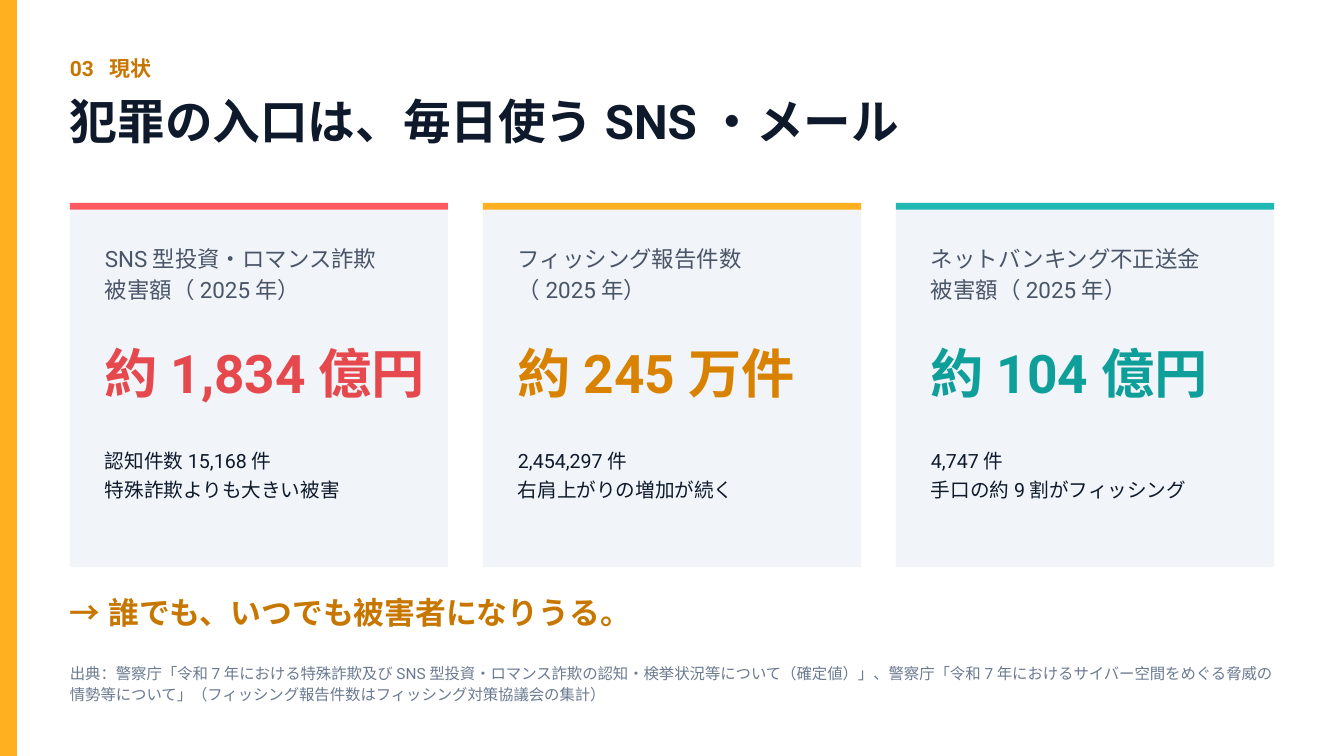
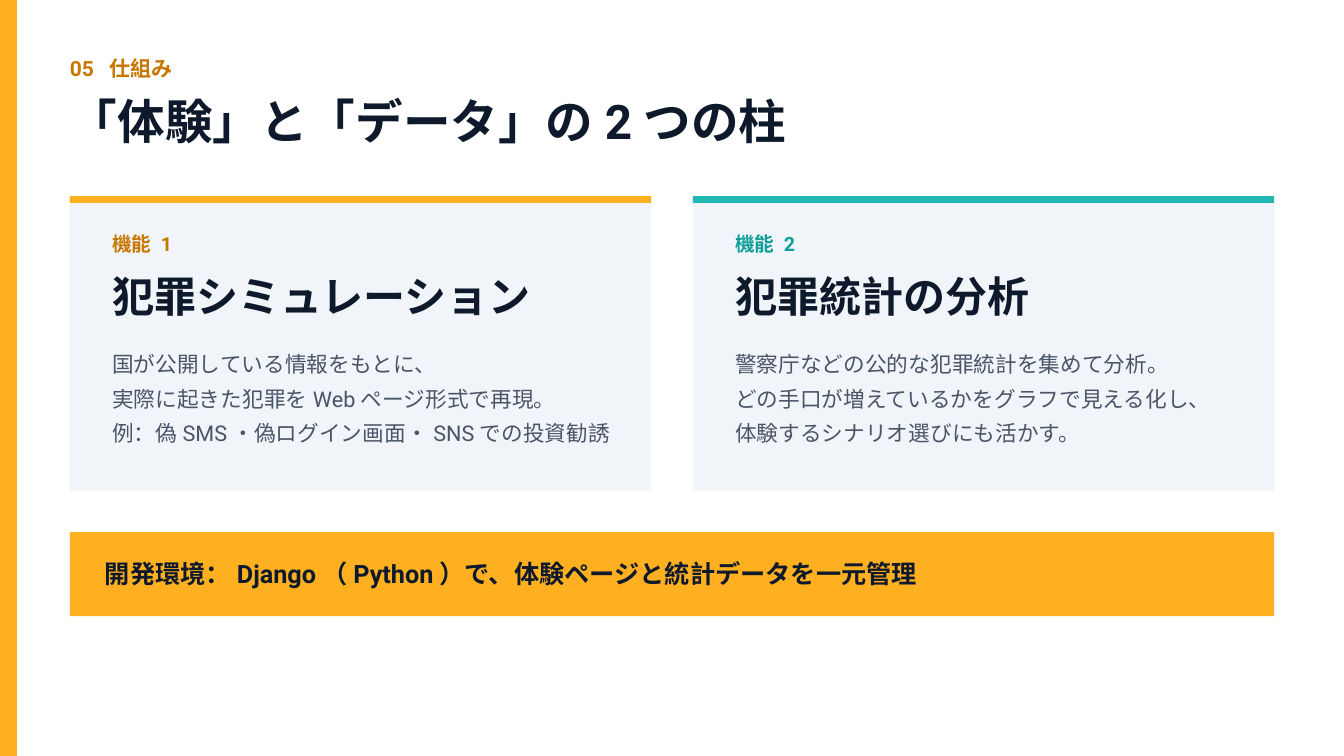
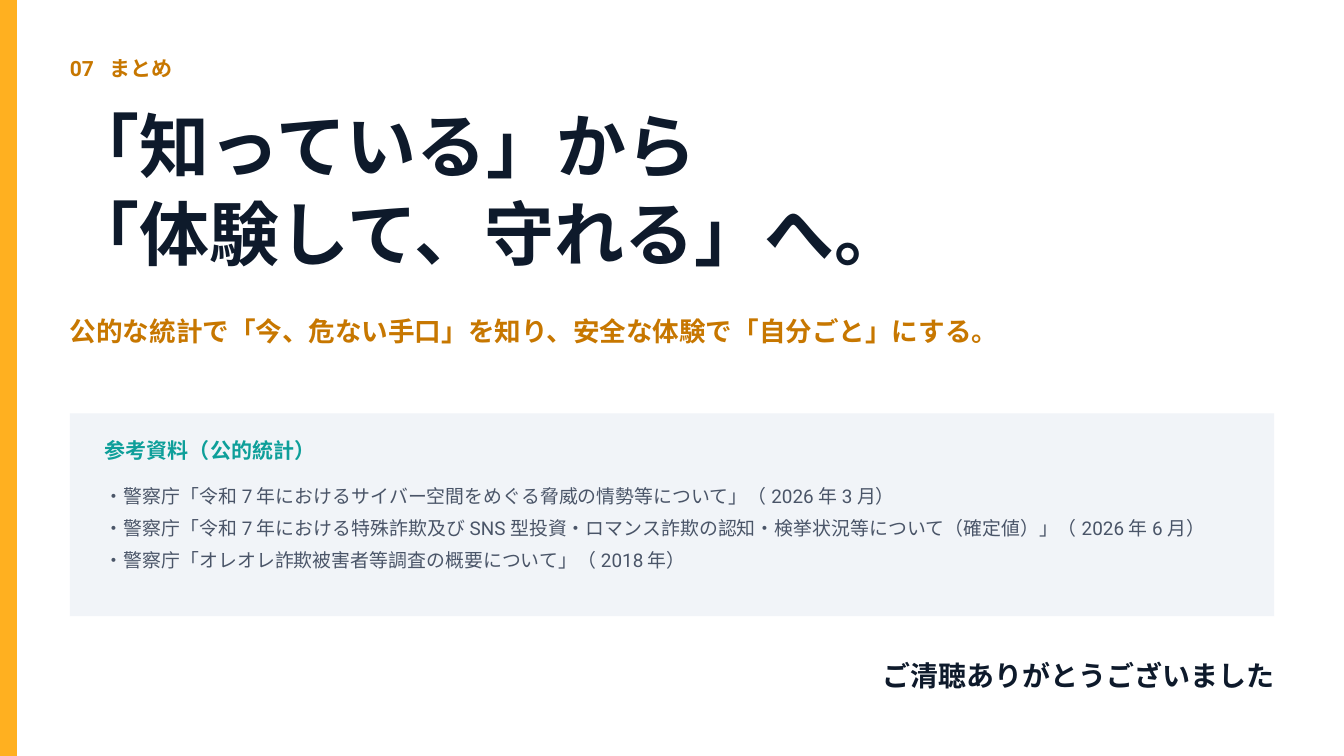
"""Build three slides on crime statistics and a crime-simulation project."""
from lxml.etree import SubElement
from pptx import Presentation
from pptx.dml.color import RGBColor
from pptx.enum.shapes import MSO_SHAPE
from pptx.enum.text import MSO_ANCHOR, MSO_AUTO_SIZE, PP_ALIGN
from pptx.oxml.ns import qn
from pptx.util import Inches, Pt

WHITE = RGBColor(0xFF, 0xFF, 0xFF)
NAVY = RGBColor(0x0E, 0x1A, 0x2B)
SLATE = RGBColor(0x4A, 0x55, 0x68)
GREY = RGBColor(0x6B, 0x7A, 0x90)
PANEL = RGBColor(0xF1, 0xF4, 0xF8)
AMBER = RGBColor(0xFF, 0xB0, 0x20)
AMBER_MID = RGBColor(0xD9, 0x82, 0x00)
AMBER_DARK = RGBColor(0xC7, 0x77, 0x00)
CORAL = RGBColor(0xFF, 0x5A, 0x5F)
RED = RGBColor(0xE5, 0x48, 0x4D)
TEAL = RGBColor(0x1F, 0xB8, 0xB2)
TEAL_DARK = RGBColor(0x0E, 0x9F, 0x9A)

FONT = "Roboto"
WIDTH, HEIGHT = 20, 11.25
LEFT = 1.04
CONTENT_W = WIDTH - 2 * LEFT
INSET = 0.52
STRIPE_H = 0.1


def write(sp, text, size, color, leading, bold=False, align=PP_ALIGN.LEFT):
    """Fill a shape's text frame and format every line alike."""
    tf = sp.text_frame
    tf.text = text
    tf.word_wrap = True
    tf.auto_size = MSO_AUTO_SIZE.NONE
    tf.vertical_anchor = MSO_ANCHOR.TOP
    tf.margin_left = tf.margin_top = tf.margin_right = tf.margin_bottom = 0
    for p in tf.paragraphs:
        p.alignment = align
        p.line_spacing = Pt(leading)
        for r in p.runs:
            r.font.name = FONT
            r.font.size = Pt(size)
            r.font.bold = bold
            r.font.color.rgb = color
            SubElement(r.font._element, qn("a:ea")).set("typeface", FONT)


def add_text(s, x, y, w, h, text, size, color, leading, **style):
    """Add a text box without margins."""
    sp = s.shapes.add_textbox(Inches(x), Inches(y), Inches(w), Inches(h))
    write(sp, text, size, color, leading, **style)


def add_block(s, x, y, w, h, color):
    """Add a plain filled rectangle."""
    sp = s.shapes.add_shape(MSO_SHAPE.RECTANGLE, Inches(x), Inches(y), Inches(w), Inches(h))
    sp.shadow.inherit = False
    sp.fill.solid()
    sp.fill.fore_color.rgb = color
    sp.line.fill.background()


def add_card(s, x, y, w, h, accent):
    """Add a pale panel with a coloured stripe along its top."""
    add_block(s, x, y, w, h, PANEL)
    add_block(s, x, y, w, STRIPE_H, accent)


def columns(count, gap):
    """Return the left edges and the width of equal columns."""
    w = (CONTENT_W - gap * (count - 1)) / count
    return [LEFT + i * (w + gap) for i in range(count)], w


def add_slide(prs, section, title, y=1.22, h=0.98, size=51, leading=71.4):
    """Add a slide with side band, section label and title."""
    s = prs.slides.add_slide(prs.slide_layouts[5])
    add_block(s, 0, 0, 0.25, HEIGHT, AMBER)
    add_text(s, LEFT, 0.77, 6.25, 0.44, section, 22.5, AMBER_DARK, 31.5, bold=True)
    sp = s.shapes.title
    sp.left, sp.top, sp.width, sp.height = Inches(LEFT), Inches(y), Inches(17.71), Inches(h)
    write(sp, title, size, NAVY, leading, bold=True)
    return s


def add_stat_card(s, x, w, accent, color, label, value, detail):
    """Add a card with a label, a large figure and a detail."""
    add_card(s, x, 3.02, w, 5.42, accent)
    x += INSET
    add_text(s, x, 3.58, 4.69, 0.91, label, 24, SLATE, 33.6)
    add_text(s, x, 5.14, 4.9, 0.91, value, 57, color, 62.7, bold=True)
    add_text(s, x, 6.59, 4.69, 0.86, detail, 21, NAVY, 31.5)


def add_feature_card(s, x, w, accent, color, tag, heading, body):
    """Add a card with a tag, a heading and a description."""
    add_card(s, x, 2.92, w, 4.38, accent)
    x += 0.63
    add_text(s, x, 3.39, 7.29, 0.4, tag, 21, color, 29.4, bold=True)
    add_text(s, x, 3.9, 7.71, 0.86, heading, 45, NAVY, 63, bold=True)
    add_text(s, x, 5.09, 7.71, 1.52, body, 23.25, SLATE, 37.2)


def build_status(prs):
    """Build the slide on the current damage figures."""
    s = add_slide(prs, "03  現状", "犯罪の入口は、毎日使うSNS・メール")
    stats = [
        (CORAL, RED, "SNS型投資・ロマンス詐欺\n被害額（2025年）", "約1,834億円",
         "認知件数15,168件\n特殊詐欺よりも大きい被害"),
        (AMBER, AMBER_MID, "フィッシング報告件数\n（2025年）", "約245万件",
         "2,454,297件\n右肩上がりの増加が続く"),
        (TEAL, TEAL_DARK, "ネットバンキング不正送金\n被害額（2025年）", "約104億円",
         "4,747件\n手口の約9割がフィッシング"),
    ]
    lefts, w = columns(len(stats), 0.52)
    for x, stat in zip(lefts, stats):
        add_stat_card(s, x, w, *stat)
    add_text(s, LEFT, 8.75, CONTENT_W, 0.65, "→ 誰でも、いつでも被害者になりうる。",
             33, AMBER_DARK, 46.2, bold=True)
    add_text(s, LEFT, 9.83, CONTENT_W, 0.64,
             "出典：警察庁「令和7年における特殊詐欺及びSNS型投資・ロマンス詐欺の認知・検挙状況等について"
             "（確定値）」、警察庁「令和7年におけるサイバー空間をめぐる脅威の情勢等について」"
             "（フィッシング報告件数はフィッシング対策協議会の集計）",
             16.5, GREY, 23.1)


def build_features(prs):
    """Build the slide on the two features."""
    s = add_slide(prs, "05  仕組み", "「体験」と「データ」の2つの柱")
    features = [
        (AMBER, AMBER_DARK, "機能 1", "犯罪シミュレーション",
         "国が公開している情報をもとに、\n実際に起きた犯罪をWebページ形式で再現。\n"
         "例：偽SMS・偽ログイン画面・SNSでの投資勧誘"),
        (TEAL, TEAL_DARK, "機能 2", "犯罪統計の分析",
         "警察庁などの公的な犯罪統計を集めて分析。\nどの手口が増えているかをグラフで見える化し、\n"
         "体験するシナリオ選びにも活かす。"),
    ]
    lefts, w = columns(len(features), 0.62)
    for x, feature in zip(lefts, features):
        add_feature_card(s, x, w, *feature)
    add_block(s, LEFT, 7.92, CONTENT_W, 1.25, AMBER)
    add_text(s, LEFT + INSET, 8.24, 17.08, 0.52,
             "開発環境：Django（Python）で、体験ページと統計データを一元管理", 27, NAVY, 37.8, bold=True)


def build_summary(prs):
    """Build the closing slide with the references."""
    s = add_slide(prs, "07  まとめ", "「知っている」から\n「体験して、守れる」へ。",
                  y=1.48, h=2.64, size=75, leading=93.8)
    add_text(s, LEFT, 4.61, CONTENT_W, 0.55,
             "公的な統計で「今、危ない手口」を知り、安全な体験で「自分ごと」にする。",
             28.5, AMBER_DARK, 39.9, bold=True)
    add_block(s, LEFT, 6.15, CONTENT_W, 3.02, PANEL)
    add_text(s, LEFT + INSET, 6.45, 10.42, 0.44, "参考資料（公的統計）", 22.5, TEAL_DARK, 31.5, bold=True)
    references = [
        "・警察庁「令和7年におけるサイバー空間をめぐる脅威の情勢等について」（2026年3月）",
        "・警察庁「令和7年における特殊詐欺及びSNS型投資・ロマンス詐欺の認知・検挙状況等について"
        "（確定値）」（2026年6月）",
        "・警察庁「オレオレ詐欺被害者等調査の概要について」（2018年）",
    ]
    add_text(s, LEFT + INSET, 7.07, 17.08, 1.38, "\n".join(references), 20.25, SLATE, 34.4)
    add_text(s, LEFT, 9.71, CONTENT_W, 0.58, "ご清聴ありがとうございました",
             30, NAVY, 42, bold=True, align=PP_ALIGN.RIGHT)


def main():
    """Build the deck and save it."""
    prs = Presentation()
    prs.slide_width, prs.slide_height = Inches(WIDTH), Inches(HEIGHT)
    fill = prs.slide_master.background.fill
    fill.solid()
    fill.fore_color.rgb = WHITE
    build_status(prs)
    build_features(prs)
    build_summary(prs)
    prs.save("out.pptx")


if __name__ == "__main__":
    main()
